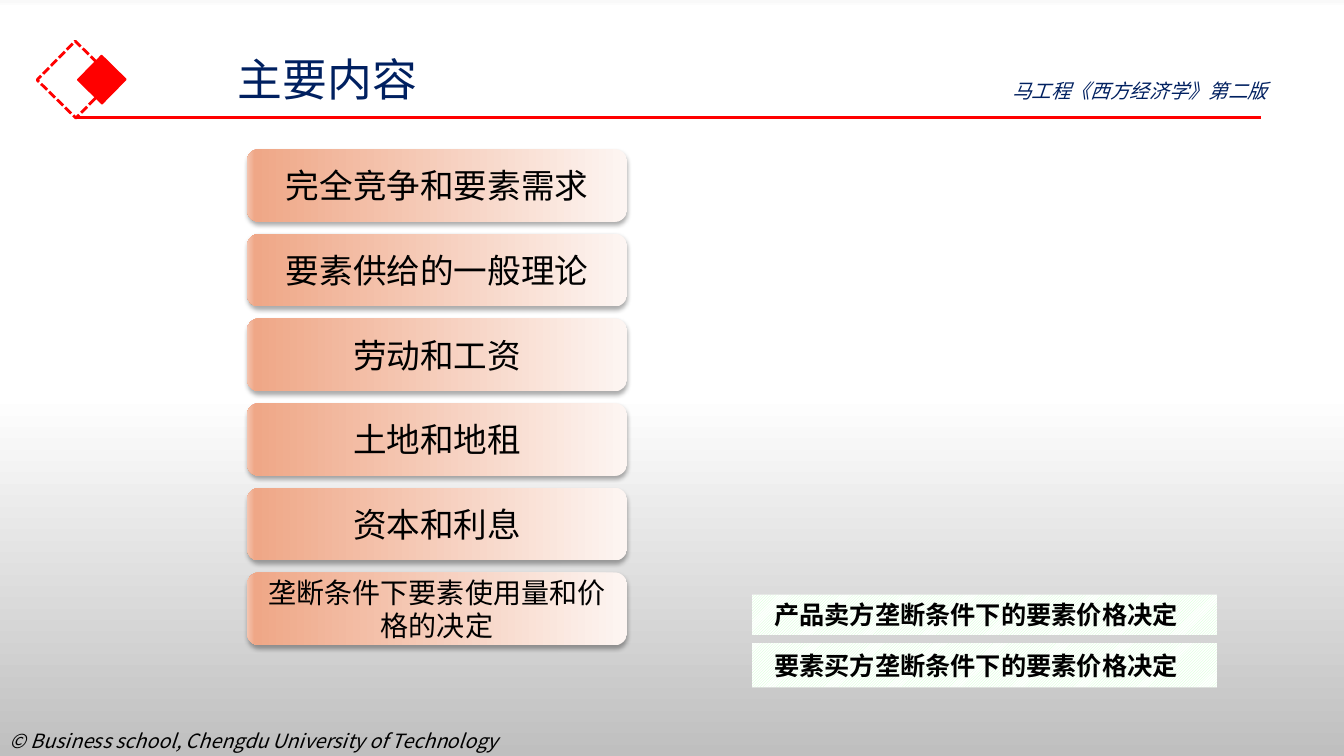
from lxml.etree import SubElement as Sub
from pptx import Presentation
from pptx.dml.color import RGBColor
from pptx.enum.dml import MSO_LINE as Dash, MSO_PATTERN as Pat
from pptx.enum.shapes import MSO_CONNECTOR as Conn, MSO_SHAPE as Kind
from pptx.enum.text import MSO_ANCHOR as Anchor, MSO_AUTO_SIZE as Auto, PP_ALIGN as Align
from pptx.oxml.ns import qn
from pptx.util import Inches, Pt

HEX = {"red": "FF0000", "navy": "002060", "black": "000000", "white": "FFFFFF",
       "mint": "CCFFCC", "pale": "FDF5F2", "salmon": "EFA787", "peach": "F4C4AF",
       "mist": "F9F9F9", "gray": "BFBFBF"}
RGB = {name: RGBColor.from_string(code) for name, code in HEX.items()}
SANS = "Noto Sans CJK SC"


def put_text(shape, text, size, color="black", font=SANS, bold=False, italic=False,
             align=Align.LEFT, wrap=True, grow=False, inset=0.1):
    frame = shape.text_frame
    frame.word_wrap = wrap
    frame.auto_size = Auto.SHAPE_TO_FIT_TEXT if grow else Auto.NONE
    frame.vertical_anchor = Anchor.TOP if grow else Anchor.MIDDLE
    frame.margin_left = frame.margin_right = Inches(inset)
    para = frame.paragraphs[0]
    para.alignment = align
    run = para.add_run()
    run.text = text
    style = run.font
    style.size, style.bold, style.italic = Pt(size), bold, italic
    style.color.rgb = RGB[color]
    style.name = font
    Sub(run._r.get_or_add_rPr(), qn("a:ea"), typeface=font)


def fade(fill, root, stops, angle):
    """Give a fill a linear gradient of (percent, colour) stops, angle clockwise."""
    fill.gradient()
    grad = root.find(".//" + qn("a:gradFill"))
    for part in list(grad):
        grad.remove(part)
    chain = Sub(grad, qn("a:gsLst"))
    for pos, color in stops:
        stop = Sub(chain, qn("a:gs"), pos=str(pos * 1000))
        Sub(stop, qn("a:srgbClr"), val=HEX[color])
    Sub(grad, qn("a:lin"), ang=str(angle * 60000), scaled="0")


deck = Presentation()
deck.slide_width, deck.slide_height = Inches(13.33), Inches(7.5)
slide = deck.slides.add_slide(deck.slide_layouts[6])
shapes = slide.shapes
fade(slide.background.fill, slide._element,
     [(0, "mist"), (1, "white"), (52, "white"), (100, "gray")], 90)

# Red diamonds and rule of the header
for left, top, side, width, solid in [(0.48, 0.52, 0.54, 2, False),
                                      (0.84, 0.62, 0.34, 1, True)]:
    gem = shapes.add_shape(Kind.RECTANGLE, Inches(left), Inches(top),
                           Inches(side), Inches(side))
    gem.rotation = 314.5
    gem.shadow.inherit = False
    gem.line.color.rgb = RGB["red"]
    gem.line.width = Pt(width)
    if solid:
        gem.fill.solid()
        gem.fill.fore_color.rgb = RGB["red"]
    else:
        gem.fill.background()
        gem.line.dash_style = Dash.SQUARE_DOT

rule = shapes.add_connector(Conn.STRAIGHT, Inches(0.75), Inches(1.17),
                            Inches(12.51), Inches(1.17))
rule.line.color.rgb = RGB["red"]
rule.line.width = Pt(2.25)
Sub(rule._element.spPr, qn("a:effectLst"))

# Title, book name and footer
labels = [
    (2.26, 0.46, 4.96, 0.64, "主要内容", dict(size=32, color="navy")),
    (9.94, 0.73, 3.24, 0.34, "马工程《西方经济学》第二版",
     dict(size=14, color="navy", italic=True)),
    (0, 7.18, 5.31, 0.34, "© Business school, Chengdu University of Technology",
     dict(size=14, italic=True, wrap=False)),
]
for left, top, width, height, text, style in labels:
    box = shapes.add_textbox(Inches(left), Inches(top), Inches(width), Inches(height))
    put_text(box, text, grow=True, **style)

# Topic bars
topics = [("完全竞争和要素需求", 24), ("要素供给的一般理论", 24), ("劳动和工资", 24),
          ("土地和地租", 24), ("资本和利息", 24), ("垄断条件下要素使用量和价格的决定", 20)]
for row, (text, size) in enumerate(topics):
    bar = shapes.add_shape(Kind.ROUNDED_RECTANGLE, Inches(2.45), Inches(1.48 + 0.84 * row),
                           Inches(3.77), Inches(0.72))
    fade(bar.fill, bar._element.spPr, [(0, "pale"), (98, "salmon"), (100, "peach")], 180)
    bar.line.fill.background()
    bar.shadow.inherit = False
    glow = Sub(bar._element.spPr.find(qn("a:effectLst")), qn("a:outerShdw"),
               blurRad=str(Pt(3.5)), dist=str(Pt(2.2)), dir="5400000",
               algn="ctr", rotWithShape="0")
    tint = Sub(glow, qn("a:srgbClr"), val=HEX["black"])
    Sub(tint, qn("a:alpha"), val="32000")
    put_text(bar, text, size, align=Align.CENTER)

# Notes on the last topic
notes = [(5.9, 0.4, "产品卖方垄断条件下的要素价格决定"),
         (6.38, 0.44, "要素买方垄断条件下的要素价格决定")]
for top, height, text in notes:
    note = shapes.add_shape(Kind.RECTANGLE, Inches(7.46), Inches(top),
                            Inches(4.61), Inches(height))
    note.fill.patterned()
    note.fill.pattern = Pat.LIGHT_UPWARD_DIAGONAL
    note.fill.fore_color.rgb = RGB["mint"]
    note.fill.back_color.rgb = RGB["white"]
    note.line.fill.background()
    note.shadow.inherit = False
    put_text(note, text, 18, font="Calibri", bold=True, align=Align.JUSTIFY, inset=0.22)

deck.save("out.pptx")
